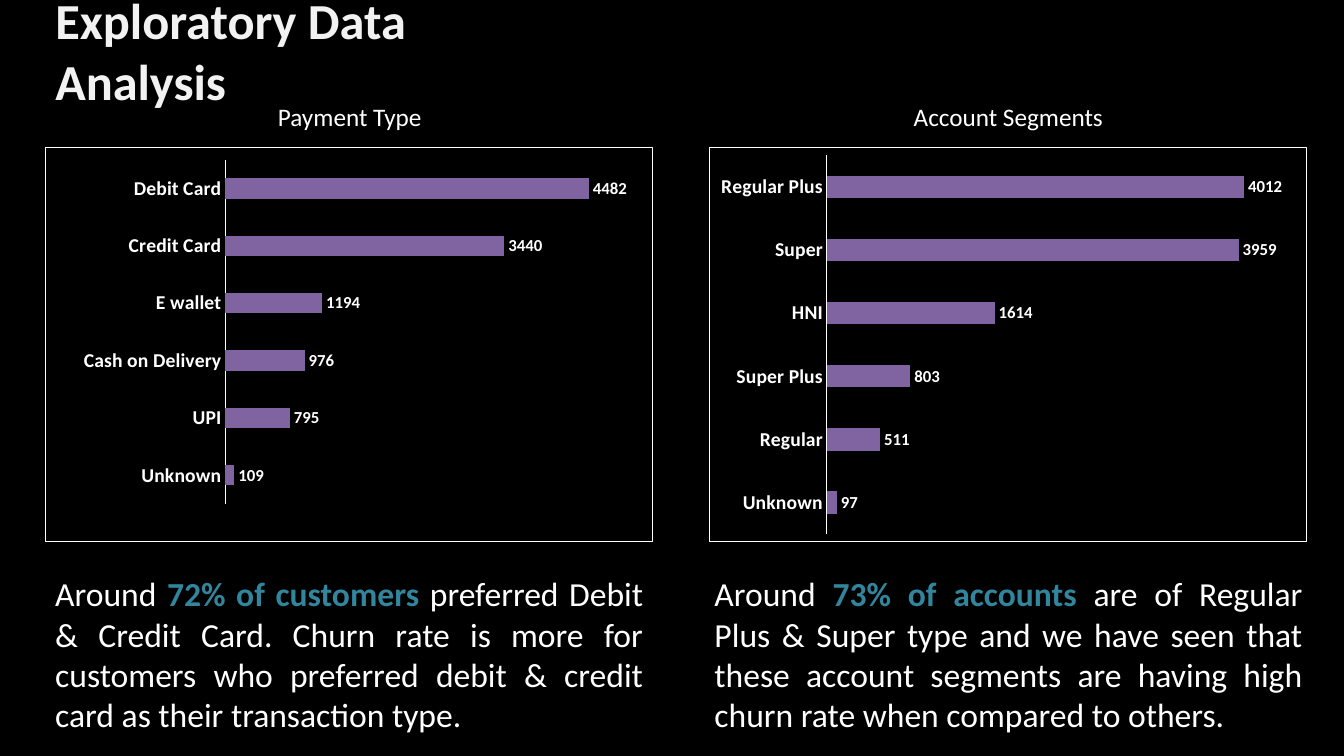
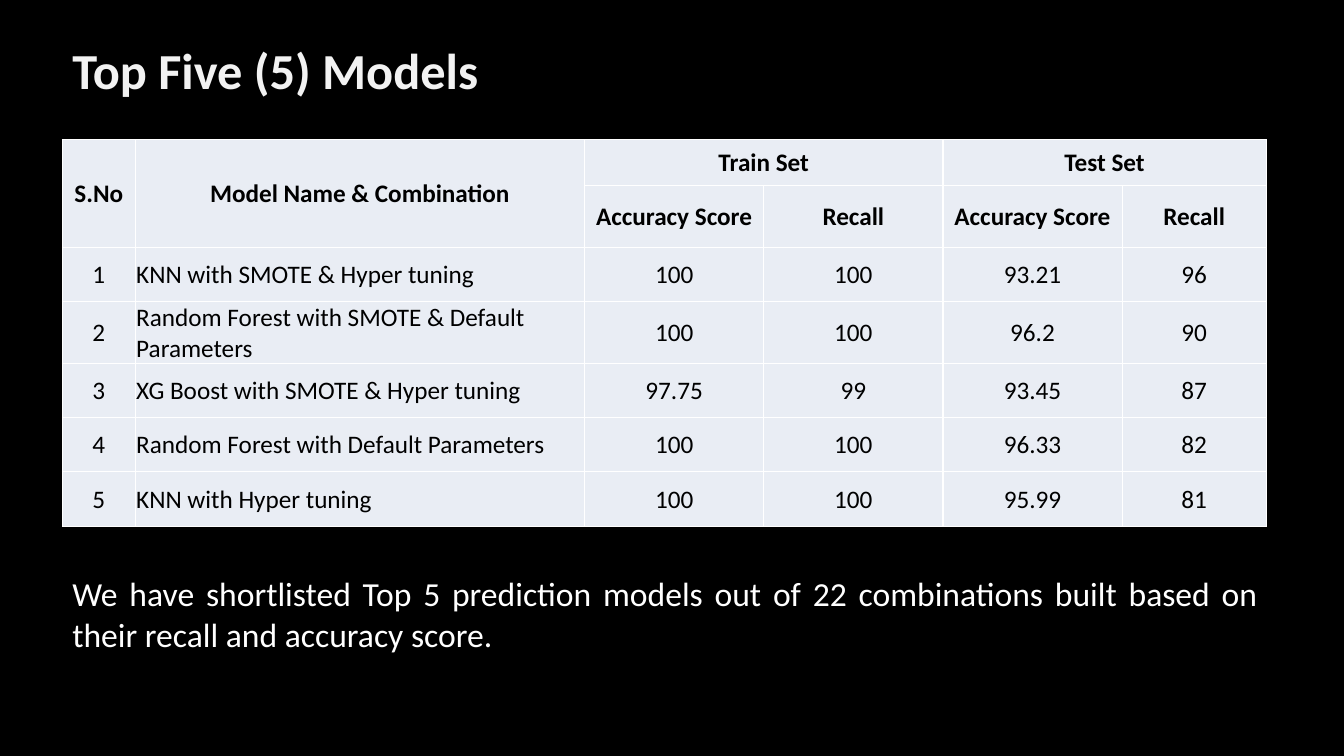
from pptx import Presentation
from pptx.chart.data import CategoryChartData
from pptx.dml.color import RGBColor
from pptx.enum.chart import XL_CHART_TYPE as CT, XL_LABEL_POSITION as LP, XL_TICK_MARK as TM
from pptx.enum.text import MSO_ANCHOR as VA, MSO_AUTO_SIZE as AS, PP_ALIGN as AL
from pptx.oxml import parse_xml
from pptx.oxml.ns import nsdecls, qn
from pptx.util import Pt

rgb = RGBColor.from_string
BLACK, WHITE, PURPLE, CELL = "000000", "FFFFFF", "8064A2", "E9EDF4"
TITLE = {"size": 36, "color": "F2F2F2", "bold": True}
CAPTION = {"size": 18, "color": WHITE}
BODY = {"size": 24, "color": WHITE, "bold": False}
ACCENT = {"size": 24, "color": "31859C", "bold": True}
CHART = {"size": 10, "color": WHITE}
AXIS = {"size": 14, "color": WHITE, "bold": True}
LABEL = {"size": 12, "color": WHITE, "bold": True}


def set_font(font, fmt):
    values = {"name": "Calibri", **fmt}
    font.color.rgb = rgb(values.pop("color"))
    values["size"] = Pt(values["size"])
    for key, value in values.items():
        setattr(font, key, value)


def add_text(s, box, runs, anchor=VA.TOP, align=AL.LEFT):
    tf = s.shapes.add_textbox(*map(Pt, box)).text_frame
    frame = {"word_wrap": True, "auto_size": AS.SHAPE_TO_FIT_TEXT, "vertical_anchor": anchor}
    for key, value in frame.items():
        setattr(tf, key, value)
    p = tf.paragraphs[0]
    p.alignment = align
    for text, fmt in runs:
        r = p.add_run()
        r.text = text
        set_font(r.font, fmt)


prs = Presentation()
prs.slide_width, prs.slide_height = Pt(960), Pt(540)
fill = prs.slide_master.background.fill
fill.solid()
fill.fore_color.rgb = rgb(BLACK)
blank = prs.slide_layouts[6]

s = prs.slides.add_slide(blank)
add_text(s, (32.4, 10, 373.7, 51), [("Exploratory Data Analysis", TITLE)], VA.MIDDLE)

panels = [
    {
        "caption": "Payment Type",
        "caption_box": (190.8, 68.4, 118.1, 29),
        "chart_box": (32.4, 105, 434.2, 282.5),
        "plot": {"x": 0.296, "y": 0.031, "w": 0.668, "h": 0.873},
        "data": {"Unknown": 109, "UPI": 795, "Cash on Delivery": 976,
                 "E wallet": 1194, "Credit Card": 3440, "Debit Card": 4482},
        "body_left": 32.4,
        "body": [
            ("Around ", BODY),
            ("72% of customers ", ACCENT),
            ("preferred Debit & Credit Card. Churn rate is more for customers "
             "who preferred debit & credit card as their transaction type.", BODY),
        ],
    },
    {
        "caption": "Account Segments",
        "caption_box": (642.2, 68.4, 156.2, 29),
        "chart_box": (506.2, 105, 427.7, 282.5),
        "plot": None,
        "data": {"Unknown": 97, "Regular": 511, "Super Plus": 803,
                 "HNI": 1614, "Super": 3959, "Regular Plus": 4012},
        "body_left": 503.3,
        "body": [
            ("Around ", BODY),
            ("73% of accounts ", ACCENT),
            ("are of Regular Plus & Super type and we have seen that these account "
             "segments are having high churn rate when compared to others.", BODY),
        ],
    },
]

for panel in panels:
    data = CategoryChartData()
    data.categories = list(panel["data"])
    data.add_series("Series 1", list(panel["data"].values()))
    chart = s.shapes.add_chart(CT.BAR_CLUSTERED, *map(Pt, panel["chart_box"]), data).chart
    chart.has_title = chart.has_legend = False
    set_font(chart.font, CHART)

    axis = chart.category_axis
    axis.major_tick_mark = axis.minor_tick_mark = TM.NONE
    axis.has_major_gridlines = False
    axis.format.line.color.rgb = rgb(WHITE)
    axis.format.line.width = Pt(0.75)
    set_font(axis.tick_labels.font, AXIS)
    chart.value_axis.visible = False
    chart.value_axis.has_major_gridlines = False
    chart.value_axis.minimum_scale = 0

    plot = chart.plots[0]
    plot.gap_width = 182
    plot.vary_by_categories = False
    bars = plot.series[0]
    bars.format.fill.solid()
    bars.format.fill.fore_color.rgb = rgb(PURPLE)
    labels = bars.data_labels
    labels.show_value = True
    labels.position = LP.OUTSIDE_END
    set_font(labels.font, LABEL)

    chart_xml = chart.element.find(qn("c:chart"))
    chart_xml.addnext(parse_xml(
        f'<c:spPr {nsdecls("c", "a")}><a:noFill/><a:ln w="{Pt(0.75)}"><a:solidFill>'
        f'<a:srgbClr val="{WHITE}"/></a:solidFill></a:ln></c:spPr>'))
    if panel["plot"]:
        area = chart_xml.find(qn("c:plotArea"))
        for layout in area.findall(qn("c:layout")):
            area.remove(layout)
        sizes = "".join(f'<c:{key} val="{value}"/>' for key, value in panel["plot"].items())
        area.insert(0, parse_xml(
            f'<c:layout {nsdecls("c")}><c:manualLayout><c:layoutTarget val="inner"/>'
            f'<c:xMode val="edge"/><c:yMode val="edge"/>{sizes}</c:manualLayout></c:layout>'))

    add_text(s, (panel["body_left"], 406, 434.2, 123.8), panel["body"], align=AL.JUSTIFY)
    add_text(s, panel["caption_box"], [(panel["caption"], CAPTION)], VA.MIDDLE, AL.CENTER)

s = prs.slides.add_slide(blank)
add_text(s, (44.6, 23.8, 355.7, 51), [("Top Five (5) Models", TITLE)], VA.MIDDLE)

rows = [
    ["S.No", "Model Name & Combination", "Train Set", "", "Test Set", ""],
    ["", "", "Accuracy Score", "Recall", "Accuracy Score", "Recall"],
    ["1", "KNN with SMOTE & Hyper tuning", "100", "100", "93.21", "96"],
    ["2", "Random Forest with SMOTE & Default Parameters", "100", "100", "96.2", "90"],
    ["3", "XG Boost with SMOTE & Hyper tuning", "97.75", "99", "93.45", "87"],
    ["4", "Random Forest with Default Parameters", "100", "100", "96.33", "82"],
    ["5", "KNN with Hyper tuning", "100", "100", "95.99", "81"],
]
widths = [52, 321, 128, 128, 128, 103]
heights = [32.5, 44.5] + [38.8] * 5
table = s.shapes.add_table(
    len(rows), len(widths), Pt(44.6), Pt(99.8), Pt(sum(widths)), Pt(sum(heights))).table
table.first_row = table.horz_banding = False
for column, width in zip(table.columns, widths):
    column.width = Pt(width)
for row, height in zip(table.rows, heights):
    row.height = Pt(height)

cell_format = {
    "vertical_anchor": VA.MIDDLE,
    "margin_left": Pt(0.75),
    "margin_right": Pt(0.75),
    "margin_top": Pt(0.75),
    "margin_bottom": 0,
}
for i, row in enumerate(rows):
    for j, text in enumerate(row):
        cell = table.cell(i, j)
        for key, value in cell_format.items():
            setattr(cell, key, value)
        cell.fill.solid()
        cell.fill.fore_color.rgb = rgb(CELL)
        borders = cell._tc.get_or_add_tcPr()
        for k, side in enumerate("LRTB"):
            borders.insert(k, parse_xml(
                f'<a:ln{side} {nsdecls("a")} w="{Pt(1)}"><a:solidFill>'
                f'<a:srgbClr val="{WHITE}"/></a:solidFill></a:ln{side}>'))
        if text:
            p = cell.text_frame.paragraphs[0]
            p.alignment = AL.LEFT if j == 1 and i > 1 else AL.CENTER
            r = p.add_run()
            r.text = text
            set_font(r.font, {"size": 18, "color": BLACK, "bold": i < 2})

for first, last in [((0, 0), (1, 0)), ((0, 1), (1, 1)), ((0, 2), (0, 3)), ((0, 4), (0, 5))]:
    table.cell(*first).merge(table.cell(*last))

add_text(s, (44.6, 406, 861, 65.5), [
    ("We have shortlisted Top 5 prediction models out of 22 combinations built "
     "based on their recall and accuracy score.", BODY),
], align=AL.JUSTIFY)

prs.save("out.pptx")
